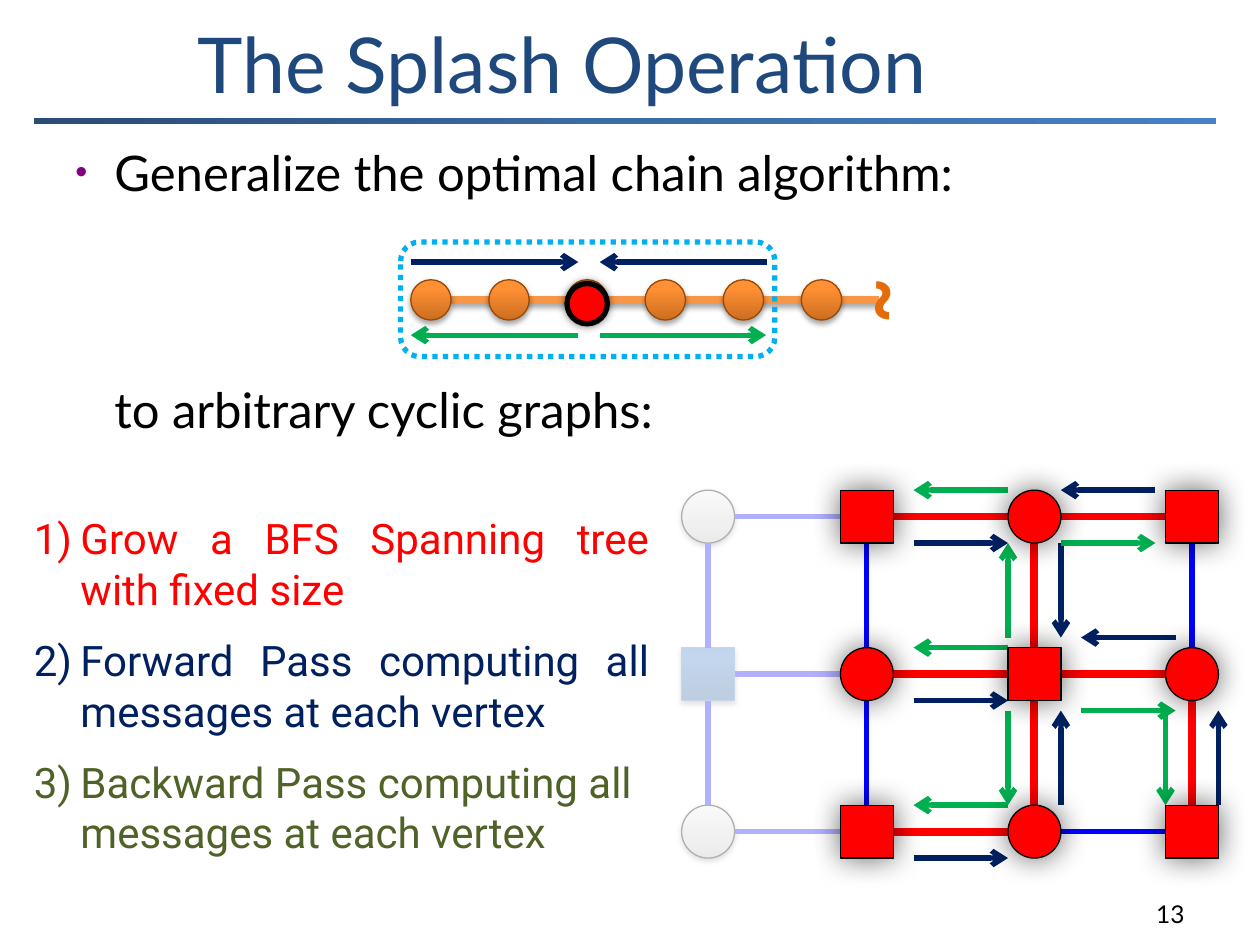
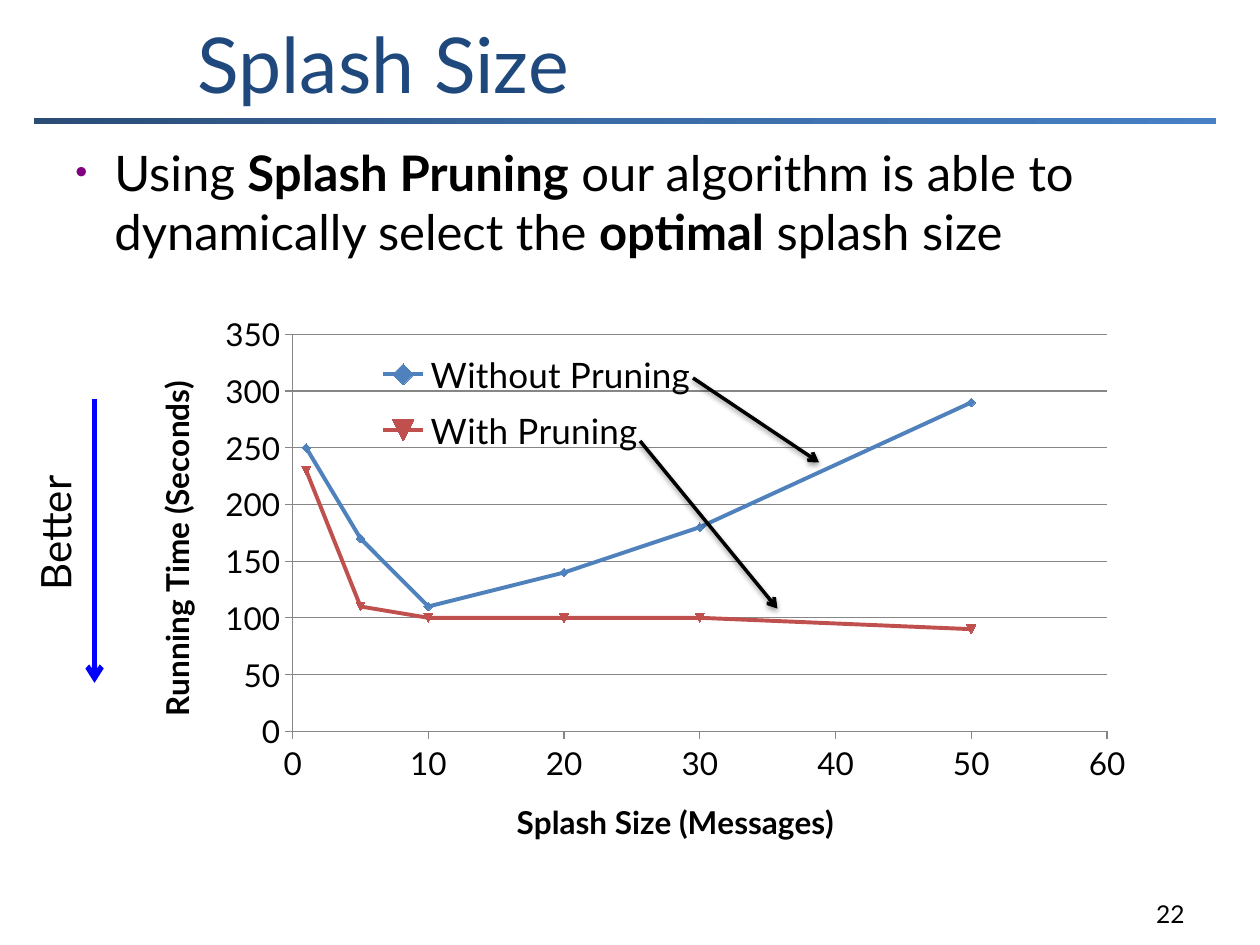
from lxml import etree
from pptx import Presentation
from pptx.chart import data
from pptx.dml.color import RGBColor
from pptx.enum import chart as ch, dml, shapes, text
from pptx.oxml import ns, parse_xml
from pptx.util import Inches, Pt

HEX = {"title": "1F497D", "black": "000000", "white": "FFFFFF", "red": "FF0000",
       "blue": "0000FF", "navy": "002060", "green": "00B050", "olive": "4F6228",
       "cyan": "00B0F0", "orange": "F79646", "rust": "984807", "tilde": "E46C0A",
       "dot": "800080", "steel": "4B7EBC", "grid": "868686",
       "without": "4F81BD", "with": "C0504D"}
GRADS = {  # stops as (percent, colour), then the angle
    "band": ([(0, "2A4C75"), (50, "3C6CA6"), (100, "4780C5")], 45),
    "gray": ([(0, "BDBDBD"), (35, "D1D1D1"), (100, "EEEEEE")], 270),
    "ice": ([(0, "2F5F99"), (80, "3D7CC7"), (100, "3A7CCB")], 270),
    "amber": ([(0, "CC6E20"), (80, "FF9034"), (100, "FF9136")], 270)}
SHADES = {  # opacity percent, blur, distance, angle
    "soft": (35, 3.1, 1.8, 90), "drop": (38, 3.1, 1.6, 90),
    "glow": (60, 17, 0, 0), "ring": (40, 5, 0, 0)}

STEPS = [("Grow a BFS Spanning tree with fixed size", "red"),
         ("Forward Pass computing all messages at each vertex", "navy"),
         ("Backward Pass computing all messages at each vertex", "olive")]
PRUNING = ["Using ", "Splash Pruning",
           " our algorithm is able to dynamically select the ", "optimal", " splash size"]

COLS, ROWS, NODE = [5.62, 6.88, 8.21, 9.46], [4.1, 5.35, 6.6], 0.42
TREE = [((2, 1), (2, 2)), ((1, 1), (2, 1)), ((2, 0), (3, 0)), ((1, 0), (2, 0)),
        ((3, 1), (3, 2)), ((1, 2), (2, 2)), ((2, 0), (2, 1)), ((2, 1), (3, 1))]
STEP = 0.75
WAYS = {"left": (-STEP, 0), "right": (STEP, 0), "up": (0, -STEP), "down": (0, STEP)}
PASSES = {
    "navy": [(7.25, 4.31, "right"), (9.17, 3.89, "left"), (7.25, 5.56, "right"),
             (7.25, 6.81, "right"), (9.33, 5.06, "left"), (8.42, 4.31, "down"),
             (8.42, 6.39, "up"), (9.67, 6.39, "up")],
    "green": [(8.42, 4.31, "right"), (8, 3.89, "left"), (8.58, 5.64, "right"),
              (8, 6.39, "left"), (8, 5.14, "left"), (8, 5.64, "down"),
              (8, 5.06, "up"), (9.25, 5.64, "down")]}
CHAIN = [(4.76, 2.66, 6.08, "green"), (4.59, 2.66, 3.26, "green"),
         (3.26, 2.08, 4.59, "navy"), (6.09, 2.08, 4.76, "navy")]

SIZES = [1, 5, 10, 20, 30, 50]
TIMES = {"Without Pruning": ([250, 170, 110, 140, 180, 290], "without", "DIAMOND"),
         "With Pruning": ([230, 110, 100, 100, 100, 90], "with", "AUTOMATIC")}
AXES = [("Splash Size (Messages)", 60, 10), ("Running Time (Seconds)", 350, 50)]
POINTERS = [(5.5, 3, 6.5, 3.67), (5.08, 3.5, 6.17, 4.83)]

RECT, OVAL = shapes.MSO_SHAPE.RECTANGLE, shapes.MSO_SHAPE.OVAL


def rgb(name):
    return RGBColor.from_string(HEX[name])


def add(parent, tag, **attrs):
    return etree.SubElement(parent, ns.qn(tag), {k: str(v) for k, v in attrs.items()})


def shade(shape, kind):
    """Give a shape or connector its shadow, or none."""
    effects = add(shape.element.spPr, "a:effectLst")
    if kind:
        alpha, blur, dist, turn = SHADES[kind]
        outer = add(effects, "a:outerShdw", blurRad=Pt(blur), dist=Pt(dist),
                    dir=turn * 60000, rotWithShape=0)
        add(add(outer, "a:srgbClr", val=HEX["black"]), "a:alpha", val=alpha * 1000)


def draw(slide, kind, at, fill=None, line=None, width=0.75, shadow=None):
    shape = slide.shapes.add_shape(kind, *map(Inches, at))
    if fill in GRADS:
        stops, turn = GRADS[fill]
        grad = add(shape.element.spPr, "a:gradFill", rotWithShape=1)
        marks = add(grad, "a:gsLst")
        for place, color in stops:
            add(add(marks, "a:gs", pos=place * 1000), "a:srgbClr", val=color)
        add(grad, "a:lin", ang=turn * 60000, scaled=0)
    elif fill:
        shape.fill.solid()
        shape.fill.fore_color.rgb = rgb(fill)
    else:
        shape.fill.background()
    if line:
        shape.line.color.rgb = rgb(line)
        shape.line.width = Pt(width)
    else:
        shape.line.fill.background()
    shade(shape, shadow)
    return shape


def link(slide, ends, color, width=3, arrow=False, shadow=None):
    line = slide.shapes.add_connector(shapes.MSO_CONNECTOR.STRAIGHT, *map(Inches, ends))
    line.line.color.rgb = rgb(color)
    line.line.width = Pt(width)
    if arrow:
        add(line.line._get_or_add_ln(), "a:tailEnd", type="arrow")
    shade(line, shadow)
    return line


def style(para, size, color, font="Lato", bold=None):
    for run in para.runs:
        run.font.size, run.font.name = Pt(size), font
        run.font.color.rgb = rgb(color)
        if bold is not None:
            run.font.bold = bold


def write(slide, at, lines, size, color="black", align=None, low=False, **look):
    """Add a text box with one paragraph for each line."""
    box = slide.shapes.add_textbox(*map(Inches, at))
    frame = box.text_frame
    frame.word_wrap = True
    if low:
        frame.vertical_anchor = text.MSO_ANCHOR.BOTTOM
    for i, words in enumerate(lines):
        para = frame.add_paragraph() if i else frame.paragraphs[0]
        para.text = words
        para.alignment = align
        style(para, size, color, **look)
    return box


def indent(para, left, first):
    props = para._p.get_or_add_pPr()
    props.set("marL", str(Inches(left)))
    props.set("indent", str(Inches(first)))
    return props


def bullet(para):
    props = indent(para, 0.31, -0.31)
    add(add(props, "a:buClr"), "a:srgbClr", val=HEX["dot"])
    add(props, "a:buSzPct", val=70000)
    add(props, "a:buFont", typeface="Arial")
    add(props, "a:buChar", char="•")


def start(deck, title, number):
    """Add a slide with the shared band, title and page number."""
    slide = deck.slides.add_slide(deck.slide_layouts[6])
    draw(slide, RECT, (0.25, 0.92, 9.42, 0.08), "band", "white", 2.5)
    write(slide, (1.47, 0.08, 8.2, 0.83), [title], 44, "title", low=True)
    write(slide, (7.42, 6.92, 2.08, 0.5), [number], 14,
          align=text.PP_ALIGN.RIGHT, low=True)
    return slide


def node(slide, spot, fill, line, shadow):
    col, row = spot
    kind = RECT if (col + row) % 2 else OVAL
    at = (COLS[col] - NODE / 2, ROWS[row] - NODE / 2, NODE, NODE)
    return draw(slide, kind, at, fill, line, shadow=shadow)


def edge(slide, nodes, a, b, *look):
    """Join two neighbours, a being left of or above b."""
    flat, half = a[1] == b[1], NODE / 2
    dx, dy = (half, 0) if flat else (0, half)
    line = link(slide, (COLS[a[0]] + dx, ROWS[a[1]] + dy,
                        COLS[b[0]] - dx, ROWS[b[1]] - dy), *look)
    if sum(a) % 2:
        line.begin_connect(nodes[a], 3 if flat else 2)
    else:
        line.end_connect(nodes[b], 1 if flat else 0)


def grid(slide):
    nodes = {}
    for col in range(4):
        for row in range(3):
            spot = col, row
            if col:
                look = "red", "black", "glow"
            elif row == 1:
                look = "ice", "steel", "soft"
            else:
                look = "gray", "black", "drop"
            nodes[spot] = node(slide, spot, *look)
    for col in range(4):
        if col == 1:
            veil = draw(slide, RECT, (5.33, 3.73, 4.58, 3.17), "white")
            tint = veil.element.spPr.find(".//" + ns.qn("a:srgbClr"))
            add(tint, "a:alpha", val=69000)
        for row in range(3):
            if col < 3:
                edge(slide, nodes, (col, row), (col + 1, row), "blue")
            if row < 2:
                edge(slide, nodes, (col, row), (col, row + 1), "blue")
    for color, moves in PASSES.items():
        for x, y, way in moves:
            dx, dy = WAYS[way]
            link(slide, (x, y, x + dx, y + dy), color, arrow=True)
    for a, b in TREE:
        edge(slide, nodes, a, b, "red", 4.5)
    for spot, shape in nodes.items():
        if spot[0]:  # bring the tree's vertices to the front
            slide.shapes.element.append(shape.element)


def chain(slide):
    link(slide, (3.58, 2.38, 6.98, 2.38), "orange", 4.5, shadow="soft")
    for i in range(6):
        draw(slide, OVAL, (3.26 + 0.62 * i, 2.22, 0.32, 0.32), "amber", "rust", shadow="soft")
    frame = draw(slide, shapes.MSO_SHAPE.ROUNDED_RECTANGLE, (3.18, 1.92, 2.97, 0.91),
                 None, "cyan", 3)
    frame.line.dash_style = dml.MSO_LINE.ROUND_DOT
    for x, y, end, color in CHAIN:
        link(slide, (x, y, end, y), color, arrow=True)
    write(slide, (6.62, 1.95, 0.66, 0.77), ["~"], 40, "tilde",
          font="Roboto", bold=True).rotation = 270
    draw(slide, OVAL, (4.5, 2.25, 0.32, 0.32), "red", "black", 3, "ring")


def splash(deck):
    slide = start(deck, "The Splash Operation", "13")
    grid(slide)
    body = write(slide, (0.5, 1.08, 9.08, 2.5),
                 ["Generalize the optimal chain algorithm:", "to arbitrary cyclic graphs:"], 28)
    first, last = body.text_frame.paragraphs
    bullet(first)
    indent(last, 0.31, 0)
    last.space_before = Pt(102)
    chain(slide)
    steps = write(slide, (0.17, 4.07, 5.08, 3.38), [words for words, _ in STEPS], 24,
                  font="Roboto").text_frame
    steps.margin_top = 0
    for i, para in enumerate(steps.paragraphs):
        add(indent(para, 0.37, -0.37), "a:buAutoNum", type="arabicParenR")
        if i:
            para.space_before = Pt(12)
        if i < 2:
            para.alignment = text.PP_ALIGN.JUSTIFY
        style(para, 24, STEPS[i][1], "Roboto")


def place(part, x, y, w, h, inner=False):
    """Fix the layout of a chart's plot area or legend."""
    old = part.find(ns.qn("c:layout"))
    if old is not None:
        part.remove(old)
    layout = parse_xml("<c:layout %s/>" % ns.nsdecls("c"))
    box = add(layout, "c:manualLayout")
    if inner:
        add(box, "c:layoutTarget", val="inner")
    for side in "xy":
        add(box, f"c:{side}Mode", val="edge")
    for side, size in zip("xywh", (x, y, w, h)):
        add(box, f"c:{side}", val=size)
    spot = part.find(ns.qn("c:legendPos"))
    part.insert(0 if spot is None else part.index(spot) + 1, layout)


def plot(slide):
    table = data.XyChartData(number_format="0")
    for name, (times, _, _) in TIMES.items():
        series = table.add_series(name)
        for x, y in zip(SIZES, times):
            series.add_data_point(x, y)
    chart = slide.shapes.add_chart(ch.XL_CHART_TYPE.XY_SCATTER_LINES,
                                   *map(Inches, (1.03, 2.43, 8.08, 4.5)), table).chart
    chart.has_title = False
    chart.font.size, chart.font.name = Pt(18), "Lato"
    chart.font.color.rgb = rgb("black")
    chart.plots[0].vary_by_categories = False
    for i, series in enumerate(chart.plots[0].series, 1):
        _, color, mark = TIMES[series.name]
        # automatic markers follow the index: 1 diamond, 2 downward triangle
        series._element.find(ns.qn("c:idx")).set("val", str(i))
        series.smooth = False
        series.format.line.color.rgb = rgb(color)
        series.format.line.width = Pt(2.25)
        series.marker.style = ch.XL_MARKER_STYLE[mark]
        series.marker.size = 5
        for part in (series.marker.format.fill, series.marker.format.line.fill):
            part.solid()
            part.fore_color.rgb = rgb(color)
    for axis, (title, top, unit) in zip((chart.category_axis, chart.value_axis), AXES):
        axis.minimum_scale, axis.maximum_scale, axis.major_unit = 0, top, unit
        axis.has_major_gridlines = False
        axis.major_tick_mark = ch.XL_TICK_MARK.OUTSIDE
        axis.format.line.color.rgb = rgb("grid")
        axis.axis_title.text_frame.text = title
        style(axis.axis_title.text_frame.paragraphs[0], 18, "black", bold=True)
    chart.value_axis.has_major_gridlines = True
    chart.value_axis.major_gridlines.format.line.color.rgb = rgb("grid")
    chart.has_legend = True
    chart.legend.position = ch.XL_LEGEND_POSITION.RIGHT
    chart.legend.include_in_layout = True
    chart.legend.font.size = Pt(20)
    root = chart.element
    place(root.find(".//" + ns.qn("c:plotArea")), 0.16, 0.05, 0.8, 0.7, True)
    place(root.find(".//" + ns.qn("c:legend")), 0.24, 0.06, 0.32, 0.22)


def pruning(deck):
    slide = start(deck, "Splash Size", "22")
    para = write(slide, (0.5, 1.08, 9.08, 1.17), [""], 28).text_frame.paragraphs[0]
    for words in PRUNING:
        para.add_run().text = words
    style(para, 28, "black")
    for run in para.runs[1::2]:
        run.font.bold = True
    bullet(para)
    plot(slide)
    link(slide, (0.75, 3.17, 0.75, 5.42), "blue", arrow=True)
    write(slide, (-0.55, 3.98, 1.97, 0.5), ["Better"], 24,
          align=text.PP_ALIGN.CENTER).rotation = 270
    for ends in POINTERS:
        link(slide, ends, "black", 2, True, "drop")


def main():
    deck = Presentation()
    deck.slide_width, deck.slide_height = Inches(10), Inches(7.5)
    splash(deck)
    pruning(deck)
    deck.save("out.pptx")


if __name__ == "__main__":
    main()
